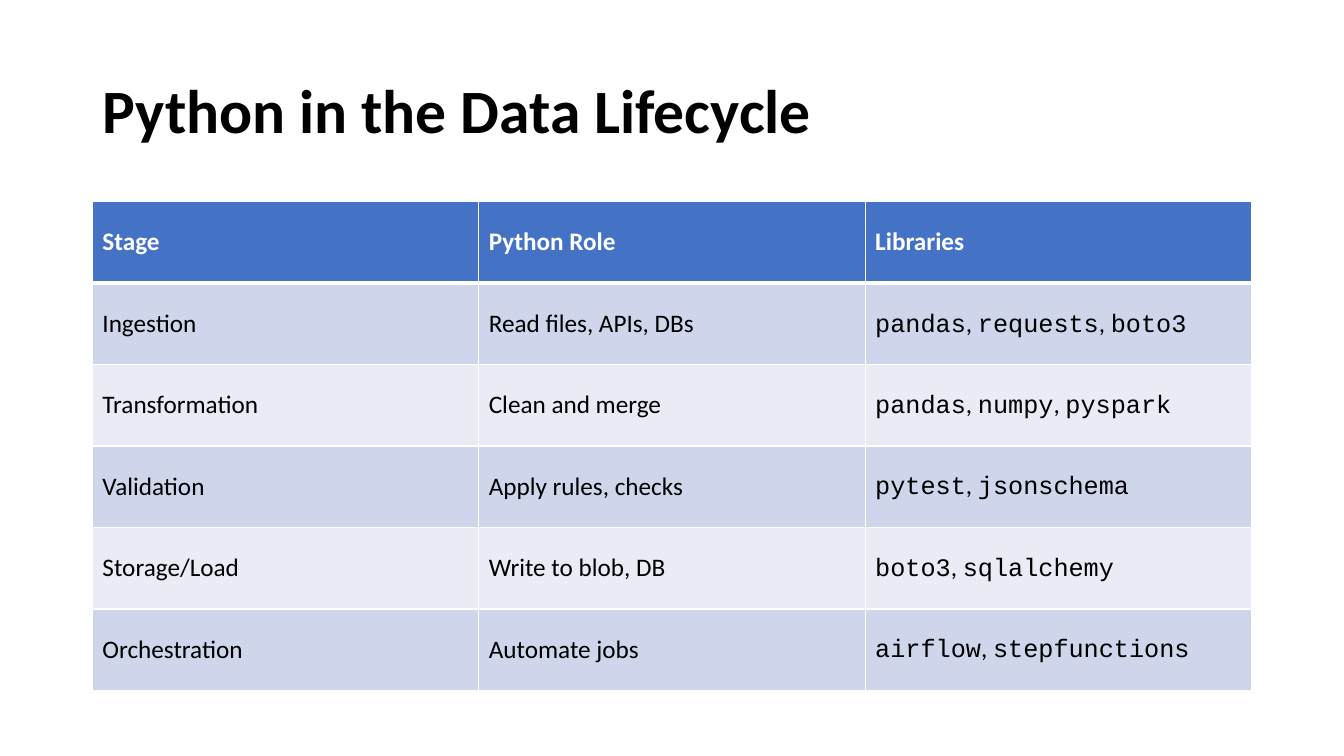
import pptx
import pptx.util
import pptx.dml.color
import pptx.enum.text
import pptx.oxml
import pptx.oxml.ns

Pt = pptx.util.Pt
MIDDLE = pptx.enum.text.MSO_ANCHOR.MIDDLE
LEFT, WIDTH = 66, 828
COLORS = {
    "ink": "000000",
    "paper": "FFFFFF",
    "head": "4472C4",
    "odd": "CFD5EA",
    "even": "E9EBF5",
}
HEADS = ["Stage", "Python Role", "Libraries"]
STAGES = [
    ("Ingestion", "Read files, APIs, DBs", ["pandas", "requests", "boto3"]),
    ("Transformation", "Clean and merge", ["pandas", "numpy", "pyspark"]),
    ("Validation", "Apply rules, checks", ["pytest", "jsonschema"]),
    ("Storage/Load", "Write to blob, DB", ["boto3", "sqlalchemy"]),
    ("Orchestration", "Automate jobs", ["airflow", "stepfunctions"]),
]


class Deck:
    body, code = "Calibri", "Courier New"

    def __init__(self):
        self.file = pptx.Presentation()
        self.file.slide_width, self.file.slide_height = Pt(960), Pt(540)
        self.slide = self.file.slides.add_slide(self.file.slide_layouts[5])

    def style(self, run, size, color, bold=False, face=None):
        font = run.font
        font.name, font.size, font.bold = face or self.body, Pt(size), bold
        font.color.rgb = pptx.dml.color.RGBColor.from_string(COLORS[color])

    def title(self, text, top, height):
        box = self.slide.shapes.title
        box.left, box.top = Pt(LEFT), Pt(top)
        box.width, box.height = Pt(WIDTH), Pt(height)
        frame = box.text_frame
        frame.text = text
        frame.word_wrap = True
        frame.vertical_anchor = MIDDLE
        line = frame.paragraphs[0]
        line.alignment = pptx.enum.text.PP_ALIGN.LEFT
        line.line_spacing = 0.9
        self.style(line.runs[0], 44, "ink", True)

    def border(self, cell, side, width):
        """Draw one side (L, R, T or B) of a cell; call before filling it."""
        space = pptx.oxml.ns.nsdecls("a")
        line = pptx.oxml.parse_xml(
            f'<a:ln{side} {space} w="{Pt(width)}"><a:solidFill>'
            f'<a:srgbClr val="{COLORS["paper"]}"/></a:solidFill></a:ln{side}>')
        cell._tc.get_or_add_tcPr().append(line)

    def cell(self, cell, text, row):
        """Fill a cell; a list as text is set as code names with commas."""
        for side in "LRTB":
            thick = (row, side) in [(0, "B"), (1, "T")]
            self.border(cell, side, 3 if thick else 1)
        shade = "head" if row == 0 else "odd" if row % 2 else "even"
        cell.fill.solid()
        cell.fill.fore_color.rgb = pptx.dml.color.RGBColor.from_string(COLORS[shade])
        cell.vertical_anchor = MIDDLE
        line = cell.text_frame.paragraphs[0]
        if isinstance(text, list):
            for index, name in enumerate(text):
                if index:
                    self.piece(line, ", ", self.body)
                self.piece(line, name, self.code)
        else:
            line.text = text
            self.style(line.runs[0], 18, "ink" if row else "paper", row == 0)

    def piece(self, line, text, face):
        run = line.add_run()
        run.text = text
        self.style(run, 18, "ink", face=face)

    def table(self, rows, top, height):
        count = len(rows[0])
        table = self.slide.shapes.add_table(
            len(rows), count, Pt(LEFT), Pt(top), Pt(WIDTH), Pt(height)).table
        for column in table.columns:
            column.width = Pt(WIDTH / count)
        for index, row in enumerate(rows):
            table.rows[index].height = Pt(height / len(rows))
            for place, text in enumerate(row):
                self.cell(table.cell(index, place), text, index)


def main():
    deck = Deck()
    deck.title("Python in the Data Lifecycle", 28.75, 104.4)
    deck.table([HEADS, *STAGES], 144, 349.2)
    deck.file.save("out.pptx")


if __name__ == "__main__":
    main()
